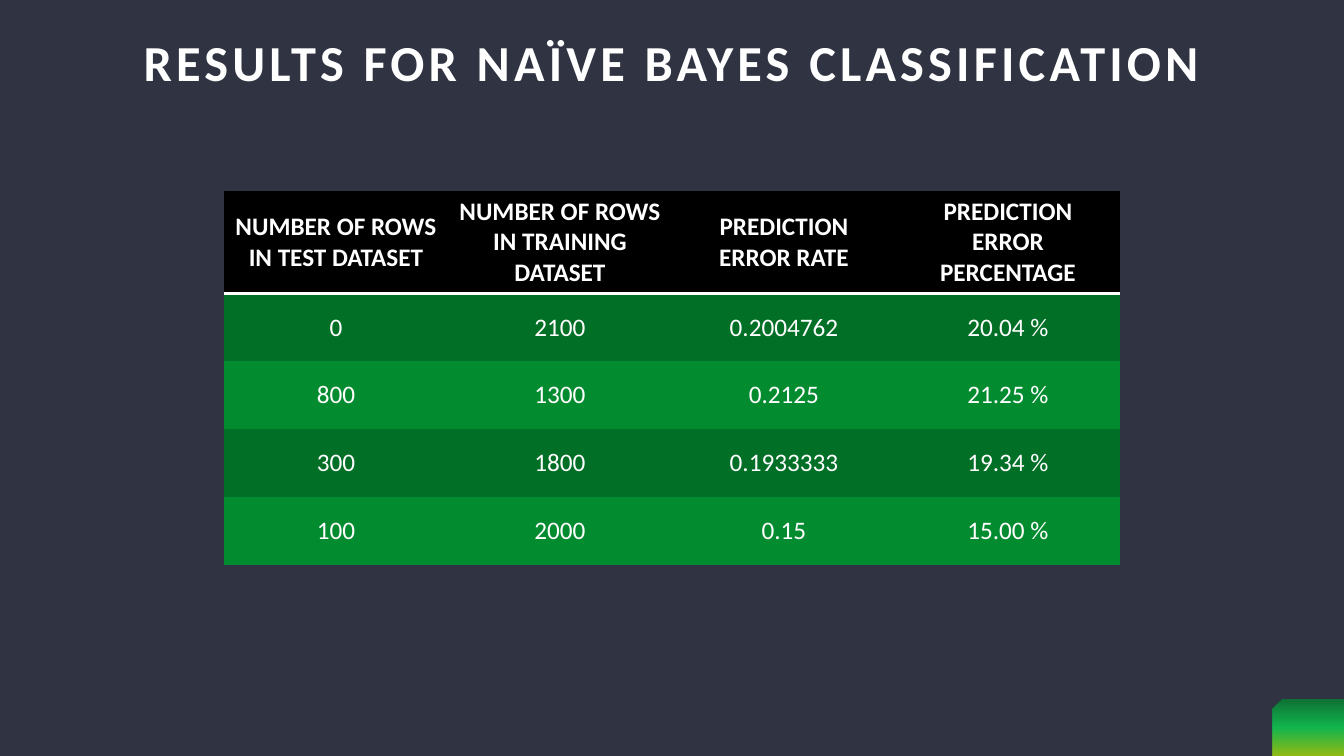
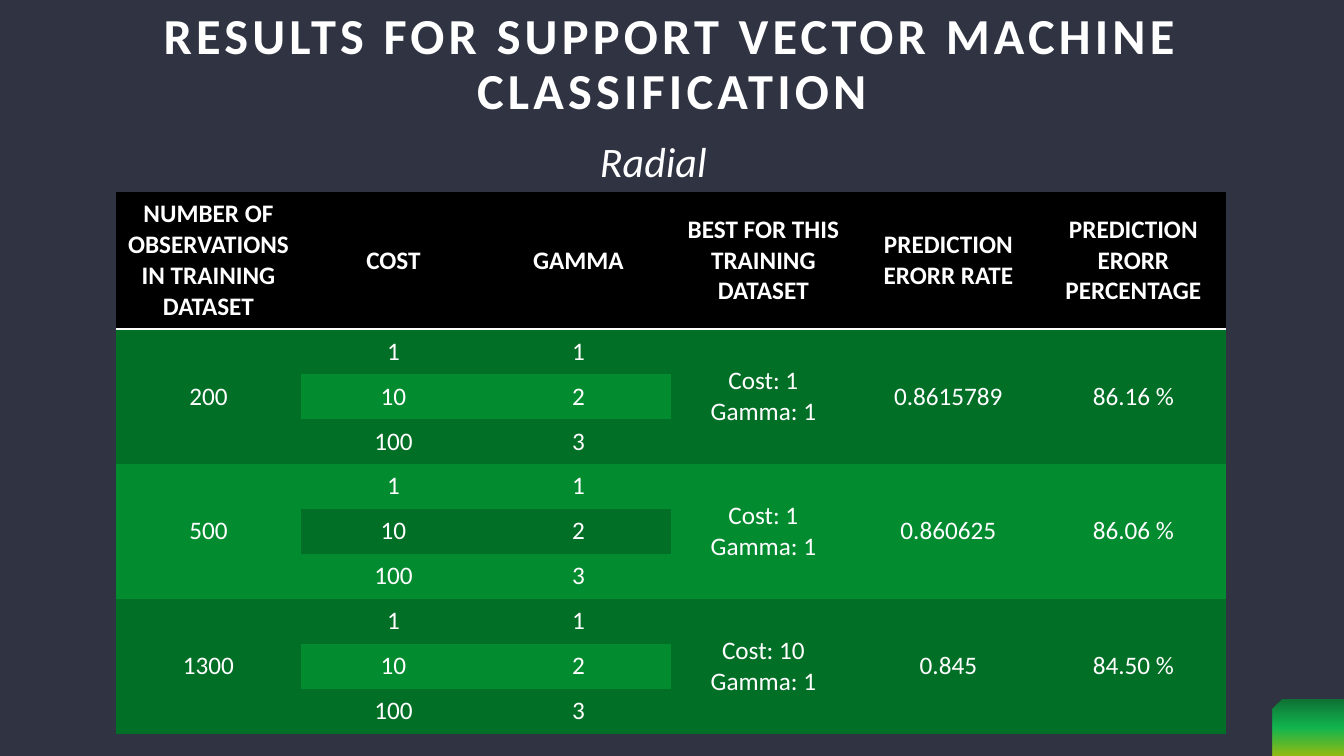
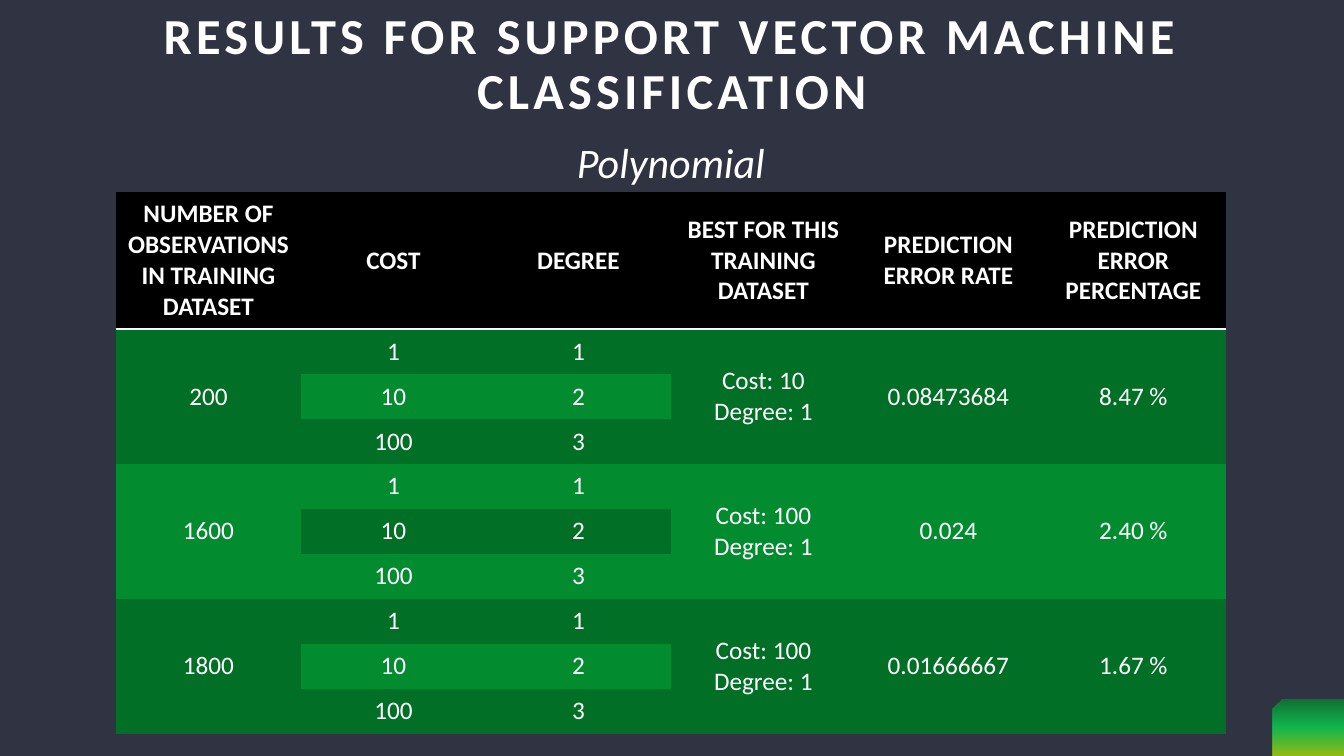
from dataclasses import dataclass

from pptx import Presentation
from pptx.dml.color import RGBColor
from pptx.enum.shapes import MSO_SHAPE
from pptx.enum.text import MSO_ANCHOR, MSO_AUTO_SIZE, PP_ALIGN
from pptx.oxml import parse_xml
from pptx.oxml.ns import nsdecls, qn
from pptx.util import Emu, Pt

# Shared look
FONT = "Calibri"
BACKGROUND = RGBColor(0x2F, 0x33, 0x42)
WHITE = RGBColor(0xFF, 0xFF, 0xFF)
BLACK = RGBColor(0x00, 0x00, 0x00)
DARK_GREEN = RGBColor(0x02, 0x6F, 0x26)
GREEN = RGBColor(0x03, 0x8B, 0x30)
BRIGHT_GREEN = RGBColor(0x05, 0xEE, 0x55)
LIME = RGBColor(0xC0, 0xF4, 0x00)
NO_TABLE_STYLE = "{2D5ABB26-0587-4C30-8999-92F81FD0307C}"

PAGE_WIDTH, PAGE_HEIGHT = 1344, 756
TITLE_HEIGHT = 131
EMU_PER_PX = 914400 / 100.8


def px(length: int) -> Emu:
    return Emu(round(length * EMU_PER_PX))


@dataclass(frozen=True)
class Box:
    left: int
    top: int
    width: int
    height: int

    def emu(self) -> tuple[Emu, ...]:
        return tuple(px(n) for n in (self.left, self.top, self.width, self.height))


@dataclass(frozen=True)
class Grid:
    left: int
    top: int
    column_width: int
    header_height: int
    row_height: int


@dataclass(frozen=True)
class Trial:
    observations: str
    best: str
    error_rate: str
    error_percentage: str


@dataclass(frozen=True)
class Kernel:
    name: str
    name_box: Box
    parameter: str
    error_word: str
    trials: tuple[Trial, ...]


# Content
BAYES_ROWS = [
    ("NUMBER OF ROWS IN TEST DATASET", "NUMBER OF ROWS IN TRAINING DATASET",
     "PREDICTION ERROR RATE", "PREDICTION ERROR PERCENTAGE"),
    ("0", "2100", "0.2004762", "20.04 %"),
    ("800", "1300", "0.2125", "21.25 %"),
    ("300", "1800", "0.1933333", "19.34 %"),
    ("100", "2000", "0.15", "15.00 %"),
]
SETTINGS = (("1", "1"), ("10", "2"), ("100", "3"))
KERNELS = (
    Kernel("Radial", Box(590, 131, 128, 61), "Gamma", "ERORR", (
        Trial("200", "Cost: 1\nGamma: 1", "0.8615789", "86.16 %"),
        Trial("500", "Cost: 1\nGamma: 1", "0.860625", "86.06 %"),
        Trial("1300", "Cost: 10\nGamma: 1", "0.845", "84.50 %"),
    )),
    Kernel("Polynomial", Box(567, 132, 210, 61), "Degree", "ERROR", (
        Trial("200", "Cost: 10\nDegree: 1", "0.08473684", "8.47 %"),
        Trial("1600", "Cost: 100\nDegree: 1", "0.024", "2.40 %"),
        Trial("1800", "Cost: 100\nDegree: 1", "0.01666667", "1.67 %"),
    )),
)
BAYES_GRID = Grid(224, 191, 224, 102, 68)
KERNEL_GRID = Grid(116, 192, 185, 137, 45)
MERGED_COLUMNS = (0, 3, 4, 5)


def style(para, size: int, bold: bool = False, italic: bool = False) -> None:
    font = para.font
    font.name, font.size = FONT, Pt(size)
    font.bold, font.italic = bold, italic
    font.color.rgb = WHITE


def add_corner(page, layout) -> None:
    """Draw the gradient corner and move it to the layout all pages share."""
    corner = page.shapes.add_shape(MSO_SHAPE.SNIP_1_RECTANGLE, *Box(1273, 700, 71, 56).emu())
    corner.shadow.inherit = False
    corner.line.fill.background()
    properties = corner.element.spPr
    properties.find(qn("a:xfrm")).set("flipH", "1")
    stops = "".join(
        f'<a:gs pos="{position}"><a:srgbClr val="{color}"><a:alpha val="70000"/></a:srgbClr></a:gs>'
        for position, color in ((0, GREEN), (50000, BRIGHT_GREEN), (100000, LIME)))
    properties.find(qn("a:prstGeom")).addnext(parse_xml(
        f'<a:gradFill {nsdecls("a")}><a:gsLst>{stops}</a:gsLst>'
        '<a:lin ang="5400000" scaled="0"/></a:gradFill>'))
    layout.shapes.element.append(corner.element)


def set_title(page, text: str, box: Box) -> None:
    title = page.shapes.title
    title.left, title.top, title.width, title.height = box.emu()
    frame = title.text_frame
    frame.text = text
    frame.word_wrap = True
    frame.auto_size = MSO_AUTO_SIZE.NONE
    frame.vertical_anchor = MSO_ANCHOR.MIDDLE
    para = frame.paragraphs[0]
    para.alignment = PP_ALIGN.CENTER
    para.line_spacing = 0.9
    style(para, 36, bold=True)
    for properties in title.element.iter(qn("a:defRPr")):
        properties.set("spc", "300")


def add_caption(page, text: str, box: Box) -> None:
    frame = page.shapes.add_textbox(*box.emu()).text_frame
    frame.text = text
    frame.word_wrap = False
    frame.auto_size = MSO_AUTO_SIZE.SHAPE_TO_FIT_TEXT
    style(frame.paragraphs[0], 30, italic=True)


def underline_cell(cell) -> None:
    properties = cell._tc.get_or_add_tcPr()
    properties.insert(0, parse_xml(
        f'<a:lnB {nsdecls("a")} w="25400"><a:solidFill>'
        f'<a:srgbClr val="{WHITE}"/></a:solidFill></a:lnB>'))


def add_grid(page, grid: Grid, rows: list[tuple[str, ...]], group: int = 1) -> None:
    """Fill a banded table; group is the number of rows each merged cell covers."""
    columns = len(rows[0])
    height = grid.header_height + grid.row_height * (len(rows) - 1)
    box = Box(grid.left, grid.top, grid.column_width * columns, height)
    frame = page.shapes.add_table(len(rows), columns, *box.emu())
    table = frame.table
    table.first_row = table.horz_banding = False
    next(frame.element.iter(qn("a:tableStyleId"))).text = NO_TABLE_STYLE

    for column in table.columns:
        column.width = px(grid.column_width)
    for index, row in enumerate(table.rows):
        row.height = px(grid.row_height if index else grid.header_height)
    if group > 1:
        for first in range(1, len(rows), group):
            for column in MERGED_COLUMNS:
                table.cell(first, column).merge(table.cell(first + group - 1, column))

    for row_index, texts in enumerate(rows):
        header = row_index == 0
        color = BLACK if header else DARK_GREEN if row_index % 2 else GREEN
        for column, text in enumerate(texts):
            cell = table.cell(row_index, column)
            if cell.is_spanned:
                continue
            cell.text = text
            cell.vertical_anchor = MSO_ANCHOR.MIDDLE
            cell.fill.solid()
            cell.fill.fore_color.rgb = color
            for para in cell.text_frame.paragraphs:
                para.alignment = PP_ALIGN.CENTER
                style(para, 18, bold=header)
            if header:
                underline_cell(cell)


def kernel_rows(kernel: Kernel) -> list[tuple[str, ...]]:
    rows = [("NUMBER OF OBSERVATIONS IN TRAINING DATASET", "COST", kernel.parameter.upper(),
             "BEST FOR THIS TRAINING DATASET", f"PREDICTION {kernel.error_word} RATE",
             f"PREDICTION {kernel.error_word} PERCENTAGE")]
    for trial in kernel.trials:
        for cost, value in SETTINGS:
            rows.append((trial.observations, cost, value, trial.best,
                         trial.error_rate, trial.error_percentage))
    return rows


def main() -> None:
    deck = Presentation()
    deck.slide_width, deck.slide_height = px(PAGE_WIDTH), px(PAGE_HEIGHT)
    background = deck.slide_master.background.fill
    background.solid()
    background.fore_color.rgb = BACKGROUND
    layout = deck.slide_layouts.get_by_name("Title Only")

    # Naïve Bayes results
    page = deck.slides.add_slide(layout)
    add_corner(page, layout)
    set_title(page, "RESULTS FOR NAÏVE BAYES CLASSIFICATION", Box(66, 0, 1212, TITLE_HEIGHT))
    add_grid(page, BAYES_GRID, BAYES_ROWS)

    # Support vector machine results, one page per kernel
    for kernel in KERNELS:
        page = deck.slides.add_slide(layout)
        set_title(page, "RESULTS FOR SUPPORT VECTOR MACHINE CLASSIFICATION",
                  Box(0, 0, PAGE_WIDTH, TITLE_HEIGHT))
        add_grid(page, KERNEL_GRID, kernel_rows(kernel), group=len(SETTINGS))
        add_caption(page, kernel.name, kernel.name_box)

    deck.save("out.pptx")


if __name__ == "__main__":
    main()
